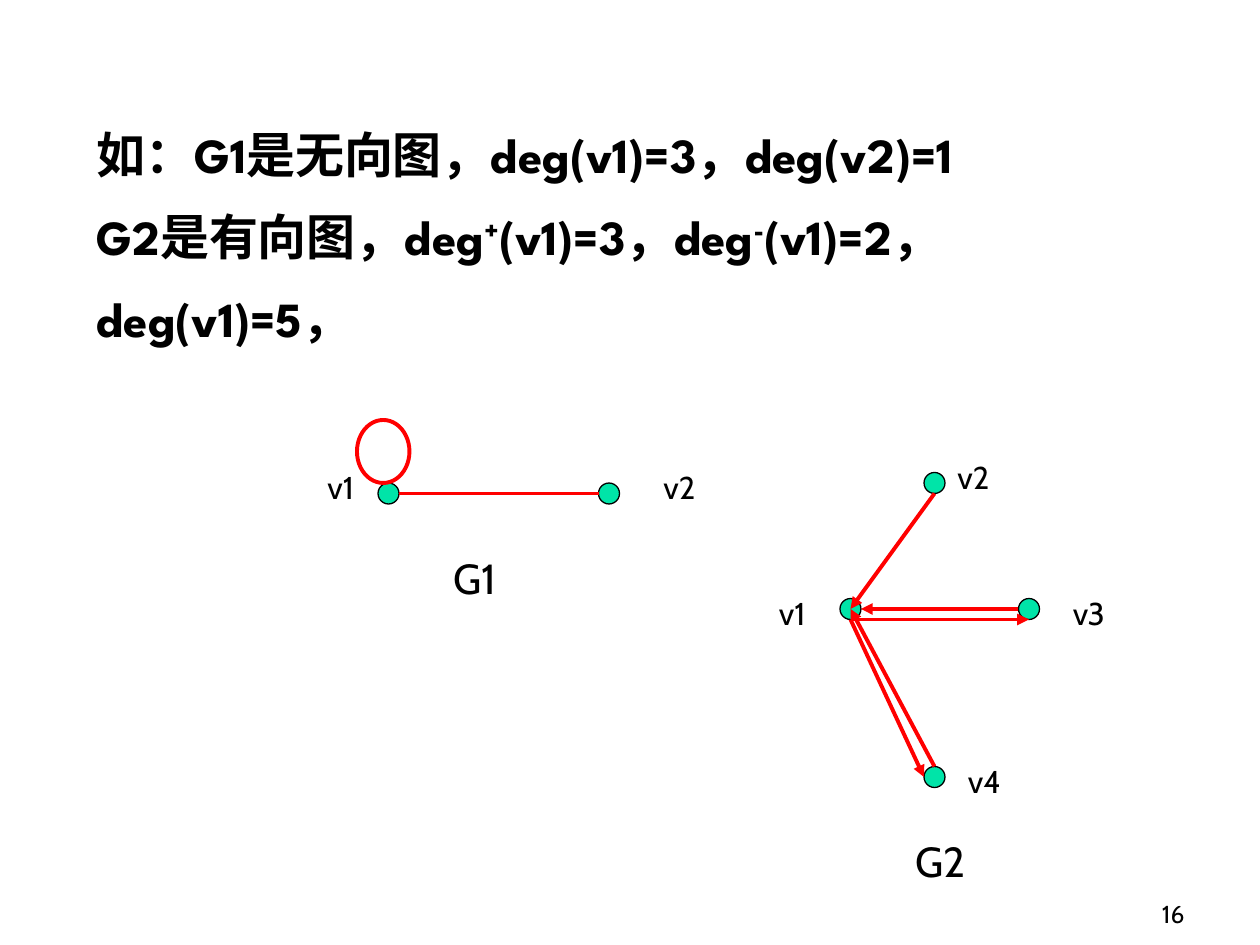
from dataclasses import dataclass

from lxml import etree
from pptx import Presentation
from pptx.dml.color import RGBColor
from pptx.enum.shapes import MSO_CONNECTOR, MSO_SHAPE
from pptx.enum.text import MSO_ANCHOR, MSO_AUTO_SIZE, PP_ALIGN
from pptx.oxml.ns import qn
from pptx.util import Inches, Pt

OVAL = MSO_SHAPE.OVAL
STRAIGHT = MSO_CONNECTOR.STRAIGHT
TOP, BOTTOM = MSO_ANCHOR.TOP, MSO_ANCHOR.BOTTOM
LEFT, RIGHT = PP_ALIGN.LEFT, PP_ALIGN.RIGHT
GROW, FIXED = MSO_AUTO_SIZE.SHAPE_TO_FIT_TEXT, MSO_AUTO_SIZE.NONE


@dataclass(frozen=True)
class Theme:
    ink: str = "000000"
    paper: str = "FFFFFF"
    node: str = "00E4A8"
    edge: str = "FF0000"
    heading_font: str = "League Spartan"
    body_font: str = "Cabin"
    heading_size: int = 28
    caption_size: int = 24
    label_size: int = 18
    number_size: int = 14
    node_line: float = 0.75
    edge_line: float = 2.25


THEME = Theme()
COLUMNS, ROWS = 120, 90
CELL = Inches(10) // COLUMNS
NODE_SIZE = 2
LABEL_SIZE = (6, 4.8)
SIDES = {"top": (1, 0), "left": (0, 1), "bottom": (1, 2), "right": (2, 1), "center": (1, 1)}

HEADING = [
    [("如：G1是无向图，deg(v1)=3，deg(v2)=1", False)],
    [
        ("G2是有向图，deg", False),
        ("+", True),
        ("(v1)=3，deg", False),
        ("-", True),
        ("(v1)=2，deg(v1)=5，", False),
    ],
]
PAGE_NUMBER = "16"

GRAPHS = [
    {
        "nodes": {"v1": (36, 46), "v2": (57, 46)},
        "labels": {"v1": (30, 44), "v2": (62, 44)},
        "edges": [("v1", "right", "v2", "left")],
        "directed": False,
        "loops": [(34, 40, 5, 6)],
        "caption": ("G1", (42, 52, 8, 6)),
    },
    {
        "nodes": {"v1": (80, 57), "v2": (88, 45), "v3": (97, 57), "v4": (88, 73)},
        "labels": {"v1": (73, 56), "v2": (90, 43), "v3": (101, 56), "v4": (91, 72)},
        "edges": [
            ("v4", "top", "v1", "center"),
            ("v2", "bottom", "v1", "center"),
            ("v3", "left", "v1", "right"),
            ("v1", "bottom", "v3", "bottom"),
            ("v1", "bottom", "v4", "left"),
        ],
        "directed": True,
        "loops": [],
        "caption": ("G2", (86, 79, 10, 6)),
    },
]


def cells(*counts):
    return [round(count * CELL) for count in counts]


def color(value):
    return RGBColor.from_string(value)


def add_text(shapes, paragraphs, box, *, size, font=THEME.body_font, bold=False,
             align=LEFT, anchor=TOP, spacing=None, fit=GROW):
    frame = shapes.add_textbox(*cells(*box)).text_frame
    frame.word_wrap = True
    frame.auto_size = fit
    frame.vertical_anchor = anchor
    for index, runs in enumerate(paragraphs):
        paragraph = frame.add_paragraph() if index else frame.paragraphs[0]
        paragraph.alignment = align
        paragraph.line_spacing = spacing
        for text, raised in runs:
            run = paragraph.add_run()
            run.text = text
            run.font.name = font
            run.font.size = Pt(size)
            run.font.bold = bold
            run.font.color.rgb = color(THEME.ink)
            if raised:
                run._r.get_or_add_rPr().set("baseline", "30000")


def add_oval(shapes, box, fill, line, width):
    shape = shapes.add_shape(OVAL, *cells(*box))
    shape.shadow.inherit = False
    shape.fill.solid()
    shape.fill.fore_color.rgb = color(fill)
    shape.line.color.rgb = color(line)
    shape.line.width = Pt(width)


def add_edge(shapes, start, end, directed):
    connector = shapes.add_connector(STRAIGHT, *cells(*start, *end))
    connector.line.color.rgb = color(THEME.edge)
    connector.line.width = Pt(THEME.edge_line)
    properties = connector._element.spPr
    if directed:
        etree.SubElement(properties.find(qn("a:ln")), qn("a:tailEnd"), type="triangle")
    etree.SubElement(properties, qn("a:effectLst"))


def side_point(node, side):
    return tuple(origin + offset for origin, offset in zip(node, SIDES[side]))


def add_graph(slide, graph):
    shapes = slide.shapes.add_group_shape().shapes
    nodes = graph["nodes"]
    for position in nodes.values():
        add_oval(shapes, (*position, NODE_SIZE, NODE_SIZE), THEME.node, THEME.ink, THEME.node_line)
    for name, position in graph["labels"].items():
        add_text(shapes, [[(name, False)]], (*position, *LABEL_SIZE), size=THEME.label_size)
    for source, source_side, target, target_side in graph["edges"]:
        add_edge(shapes, side_point(nodes[source], source_side),
                 side_point(nodes[target], target_side), graph["directed"])
    for box in graph["loops"]:
        add_oval(shapes, box, THEME.paper, THEME.edge, THEME.edge_line)
    caption, box = graph["caption"]
    add_text(shapes, [[(caption, False)]], box, size=THEME.caption_size)


def main():
    presentation = Presentation()
    presentation.slide_width, presentation.slide_height = cells(COLUMNS, ROWS)
    slide = presentation.slides.add_slide(presentation.slide_layouts[6])
    add_text(slide.shapes, HEADING, (8, 9, 106, 24.7), size=THEME.heading_size,
             font=THEME.heading_font, bold=True, spacing=1.4)
    for graph in GRAPHS:
        add_graph(slide, graph)
    add_text(slide.shapes, [[(PAGE_NUMBER, False)]], (89, 83, 25, 6), size=THEME.number_size,
             align=RIGHT, anchor=BOTTOM, fit=FIXED)
    presentation.save("out.pptx")


if __name__ == "__main__":
    main()
